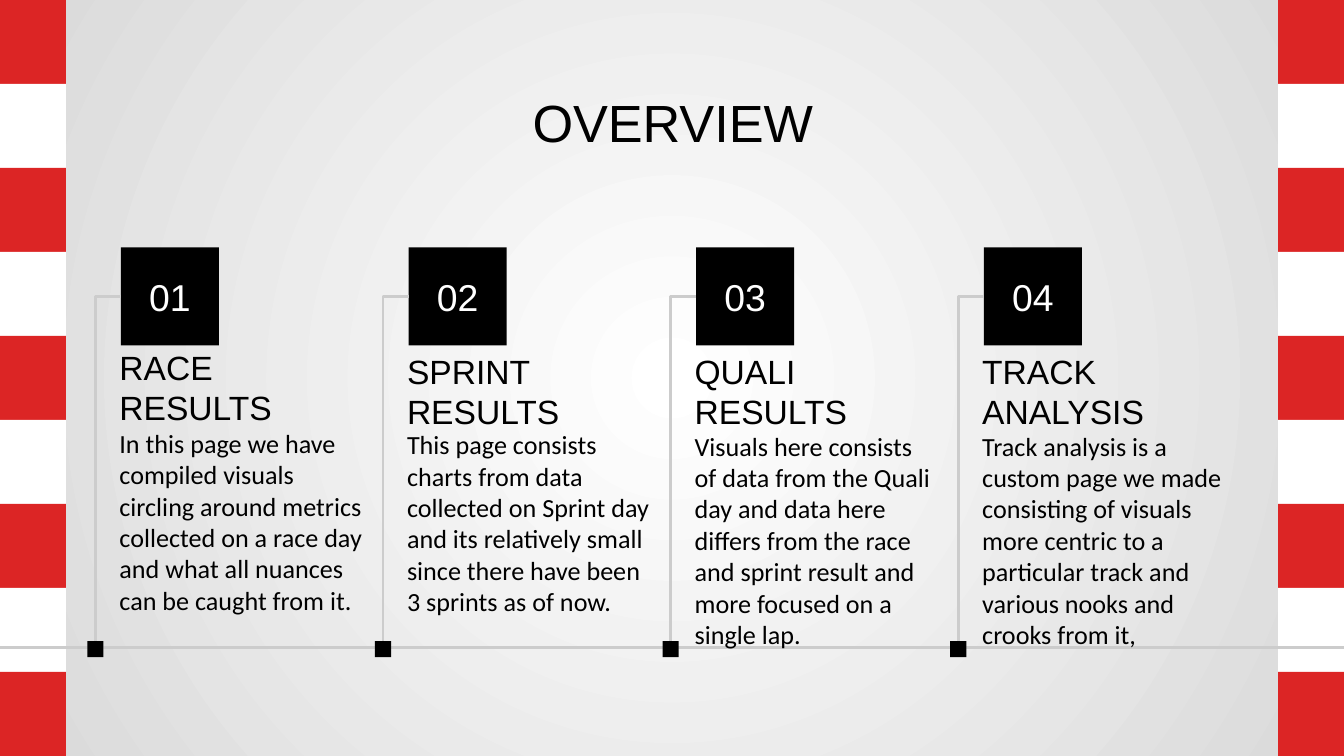
from collections import namedtuple

from lxml import etree
from pptx import Presentation
from pptx.dml.color import RGBColor
from pptx.enum.shapes import MSO_CONNECTOR, MSO_SHAPE
from pptx.enum.text import MSO_ANCHOR, MSO_AUTO_SIZE, PP_ALIGN
from pptx.oxml.ns import qn
from pptx.util import Inches, Pt

RECTANGLE = MSO_SHAPE.RECTANGLE
STRAIGHT, ELBOW = MSO_CONNECTOR.STRAIGHT, MSO_CONNECTOR.ELBOW
TOP, MIDDLE = MSO_ANCHOR.TOP, MSO_ANCHOR.MIDDLE
LEFT, CENTER = PP_ALIGN.LEFT, PP_ALIGN.CENTER
TOP_SITE, LEFT_SITE = 0, 1

BLACK = RGBColor(0x00, 0x00, 0x00)
WHITE = RGBColor(0xFF, 0xFF, 0xFF)
RED = RGBColor(0xDC, 0x25, 0x25)
LINE_GRAY = RGBColor(0xCC, 0xCC, 0xCC)
EDGE_GRAY = RGBColor(0xD9, 0xD9, 0xD9)

SLIDE_WIDTH = 10
SLIDE_HEIGHT = SLIDE_WIDTH * 9 / 16
STRIPE_COUNT = 9
TIMELINE_Y, MARKER_TOP = 4.82, 4.77
FIRST_COLUMN_LEFT, COLUMN_STEP = 0.65, 2.14
SQUARE_SIZE, MARKER_SIZE = 0.73, 0.12

Topic = namedtuple("Topic", "heading heading_top body body_top")
TOPICS = [
    Topic("RACE RESULTS", 2.69,
          "In this page we have compiled visuals circling around metrics "
          "collected on a race day and what all nuances can be caught from it.", 3.18),
    Topic("SPRINT RESULTS", 2.72,
          "This page consists charts from data collected on Sprint day and its "
          "relatively small since there have been 3 sprints as of now.", 3.19),
    Topic("QUALI RESULTS", 2.72,
          "Visuals here consists of data from the Quali day and data here differs "
          "from the race and sprint result and more focused on a single lap.", 3.2),
    Topic("TRACK ANALYSIS", 2.72,
          "Track analysis is a custom page we made consisting of visuals more centric "
          "to a particular track and various nooks and crooks from it,", 3.2),
]


def write_text(shape, text, size, font="Arial", color=BLACK, align=LEFT,
               anchor=MIDDLE, inset_x=0.1, inset_y=0.1):
    frame = shape.text_frame
    frame.word_wrap = True
    frame.auto_size = MSO_AUTO_SIZE.NONE
    frame.vertical_anchor = anchor
    frame.margin_left = frame.margin_right = Inches(inset_x)
    frame.margin_top = frame.margin_bottom = Inches(inset_y)
    paragraph = frame.paragraphs[0]
    paragraph.alignment = align
    run = paragraph.add_run()
    run.text = text
    run.font.size = Pt(size)
    run.font.name = font
    run.font.color.rgb = color


def add_rectangle(slide, left, top, width, height, color):
    shape = slide.shapes.add_shape(
        RECTANGLE, Inches(left), Inches(top), Inches(width), Inches(height))
    shape.shadow.inherit = False
    shape.fill.solid()
    shape.fill.fore_color.rgb = color
    shape.line.fill.background()
    return shape


def add_text_box(slide, left, top, width, height, text, **text_format):
    box = slide.shapes.add_textbox(
        Inches(left), Inches(top), Inches(width), Inches(height))
    write_text(box, text, **text_format)


def add_line(slide, kind, start, end):
    connector = slide.shapes.add_connector(
        kind, *(Inches(value) for value in (*start, *end)))
    connector.line.color.rgb = LINE_GRAY
    connector.line.width = Pt(1.5)
    etree.SubElement(connector.element.spPr, qn("a:effectLst"))
    return connector


def paint_background(slide):
    fill = slide.background.fill
    fill.gradient()
    for stop, color in zip(fill.gradient_stops, (WHITE, EDGE_GRAY)):
        stop.color.rgb = color
    gradient = slide.element.find(".//" + qn("a:gradFill"))
    gradient.remove(gradient.find(qn("a:lin")))
    circle = etree.SubElement(gradient, qn("a:path"), {"path": "circle"})
    etree.SubElement(circle, qn("a:fillToRect"),
                     {side: "50000" for side in ("l", "t", "r", "b")})


def add_stripes(slide, left, top, width, height):
    stripe_height = height / STRIPE_COUNT
    for index in range(STRIPE_COUNT):
        add_rectangle(slide, left, top + index * stripe_height, width,
                      stripe_height, WHITE if index % 2 else RED)


def add_title(slide, left, top, width, height):
    title = slide.shapes.title
    title.left, title.top = Inches(left), Inches(top)
    title.width, title.height = Inches(width), Inches(height)
    write_text(title, "OVERVIEW", size=28, align=CENTER)


def add_topic(slide, left, top, number, topic):
    square = add_rectangle(slide, left + 0.25, top, SQUARE_SIZE, SQUARE_SIZE, BLACK)
    write_text(square, f"{number:02d}", size=20, color=WHITE, align=CENTER,
               inset_x=0, inset_y=0)
    add_text_box(slide, left + 0.14, topic.heading_top, 2.01, 0.38,
                 topic.heading, size=18)
    add_text_box(slide, left + 0.14, topic.body_top, 2.01, 1.56, topic.body,
                 size=14, font="Calibri", anchor=TOP, inset_y=0)
    marker = add_rectangle(slide, left, MARKER_TOP, MARKER_SIZE, MARKER_SIZE, BLACK)
    bracket = add_line(slide, ELBOW, (left + 0.25, top + SQUARE_SIZE / 2),
                       (left + MARKER_SIZE / 2, MARKER_TOP))
    bracket.begin_connect(square, LEFT_SITE)
    bracket.end_connect(marker, TOP_SITE)
    bracket.element.spPr.find(qn("a:prstGeom")).set("prst", "bentConnector2")


def main():
    presentation = Presentation()
    presentation.slide_width = Inches(SLIDE_WIDTH)
    presentation.slide_height = Inches(SLIDE_HEIGHT)
    slide = presentation.slides.add_slide(presentation.slide_layouts[5])
    paint_background(slide)
    for left in (9.51, -0.02):
        add_stripes(slide, left, 0, 0.51, SLIDE_HEIGHT)
    add_line(slide, STRAIGHT, (-0.02, TIMELINE_Y), (SLIDE_WIDTH, TIMELINE_Y))
    add_title(slide, 0.79, 0.59, 8.43, 0.63)
    for index, topic in enumerate(TOPICS):
        add_topic(slide, FIRST_COLUMN_LEFT + index * COLUMN_STEP, 1.84,
                  index + 1, topic)
    presentation.save("out.pptx")


if __name__ == "__main__":
    main()
